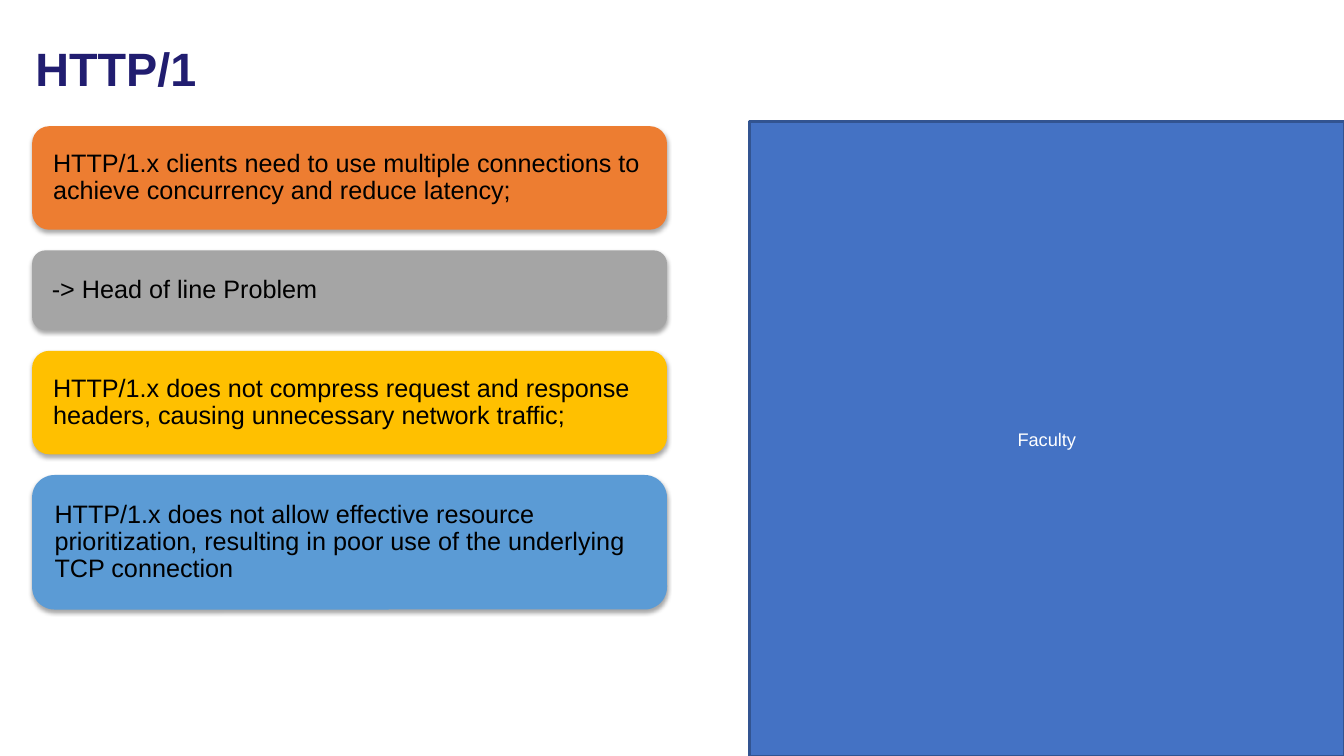
"""Build the HTTP/1 slide with four stacked cards and a side panel."""
from dataclasses import dataclass

from lxml import etree
from pptx import Presentation
from pptx.dml.color import RGBColor
from pptx.enum.shapes import MSO_SHAPE
from pptx.enum.text import MSO_ANCHOR, MSO_AUTO_SIZE, PP_ALIGN
from pptx.oxml.ns import qn
from pptx.shapes.autoshape import Shape
from pptx.slide import Slide
from pptx.util import Cm, Pt

RECT, ROUND = MSO_SHAPE.RECTANGLE, MSO_SHAPE.ROUNDED_RECTANGLE
MIDDLE, NO_FIT = MSO_ANCHOR.MIDDLE, MSO_AUTO_SIZE.NONE
LEFT, CENTER = PP_ALIGN.LEFT, PP_ALIGN.CENTER

FONT = "Arial"
COLORS = {
    "title": "211D70", "panel": "4472C4", "edge": "325491",
    "white": "FFFFFF", "black": "000000", "orange": "ED7D31",
    "gray": "A5A5A5", "gold": "FFC000", "blue": "5B9BD5",
}
CARD_LEFT, CARD_TOP, CARD_WIDTH, CARD_GAP = 0.81, 3.18, 16.0, 0.52


@dataclass(frozen=True)
class Card:
    """A rounded box with its text, fill and height in centimetres."""
    text: str
    fill: str
    height: float


CARDS = [
    Card("HTTP/1.x clients need to use multiple connections to achieve "
         "concurrency and reduce latency;", "orange", 2.61),
    Card("-> Head of line Problem", "gray", 2.01),
    Card("HTTP/1.x does not compress request and response headers, "
         "causing unnecessary network traffic;", "gold", 2.61),
    Card("HTTP/1.x does not allow effective resource prioritization, "
         "resulting in poor use of the underlying TCP connection", "blue", 3.39),
]


def color(name: str) -> RGBColor:
    """Return a named colour."""
    return RGBColor.from_string(COLORS[name])


def write(shape: Shape, text: str, size: float, ink: str, align: PP_ALIGN,
          spacing: float = 1.0, bold: bool = False) -> None:
    """Put one formatted paragraph into a shape."""
    frame = shape.text_frame
    frame.text = text
    frame.word_wrap = True
    frame.auto_size = NO_FIT
    frame.vertical_anchor = MIDDLE
    line = frame.paragraphs[0]
    line.alignment = align
    line.line_spacing = spacing
    line.font.name = FONT
    line.font.size = Pt(size)
    line.font.bold = bold
    line.font.color.rgb = color(ink)


def add_box(slide: Slide, kind: MSO_SHAPE, left: float, top: float,
            width: float, height: float, fill: str) -> Shape:
    """Add a filled shape without a shadow."""
    box = slide.shapes.add_shape(kind, Cm(left), Cm(top), Cm(width), Cm(height))
    box.shadow.inherit = False
    box.fill.solid()
    box.fill.fore_color.rgb = color(fill)
    return box


def add_shadow(shape: Shape) -> None:
    """Add a soft shadow below a shape."""
    effects = shape.element.spPr.find(qn("a:effectLst"))
    shadow = etree.SubElement(
        effects, qn("a:outerShdw"), blurRad=str(Pt(3.1)), dist=str(Pt(1.8)),
        dir="5400000", rotWithShape="0")
    tint = etree.SubElement(shadow, qn("a:srgbClr"), val=COLORS["black"])
    etree.SubElement(tint, qn("a:alpha"), val="35000")


def add_title(slide: Slide) -> None:
    """Place and format the title."""
    title = slide.shapes.title
    title.left, title.top = Cm(0.64), Cm(0.64)
    title.width, title.height = Cm(30), Cm(2.31)
    write(title, "HTTP/1", 33.4, "title", LEFT, 0.9, True)


def add_panel(slide: Slide) -> None:
    """Add the panel on the right."""
    panel = add_box(slide, RECT, 18.89, 3.07, 14.98, 15.98, "panel")
    panel.line.color.rgb = color("edge")
    panel.line.width = Pt(2)
    write(panel, "Faculty", 13, "white", CENTER)


def add_cards(slide: Slide) -> None:
    """Stack the cards with equal gaps."""
    top = CARD_TOP
    for card in CARDS:
        box = add_box(slide, ROUND, CARD_LEFT, top, CARD_WIDTH, card.height,
                      card.fill)
        box.line.fill.background()
        add_shadow(box)
        write(box, card.text, 18, "black", LEFT, 0.9)
        frame = box.text_frame
        frame.margin_left = frame.margin_right = Cm(0.4)
        frame.margin_top = frame.margin_bottom = Cm(0.18)
        top += card.height + CARD_GAP


def main() -> None:
    """Build and save the slide."""
    deck = Presentation()
    deck.slide_width, deck.slide_height = Cm(33.87), Cm(19.05)
    slide = deck.slides.add_slide(deck.slide_layouts.get_by_name("Title Only"))
    add_panel(slide)
    add_title(slide)
    add_cards(slide)
    deck.save("out.pptx")


if __name__ == "__main__":
    main()
